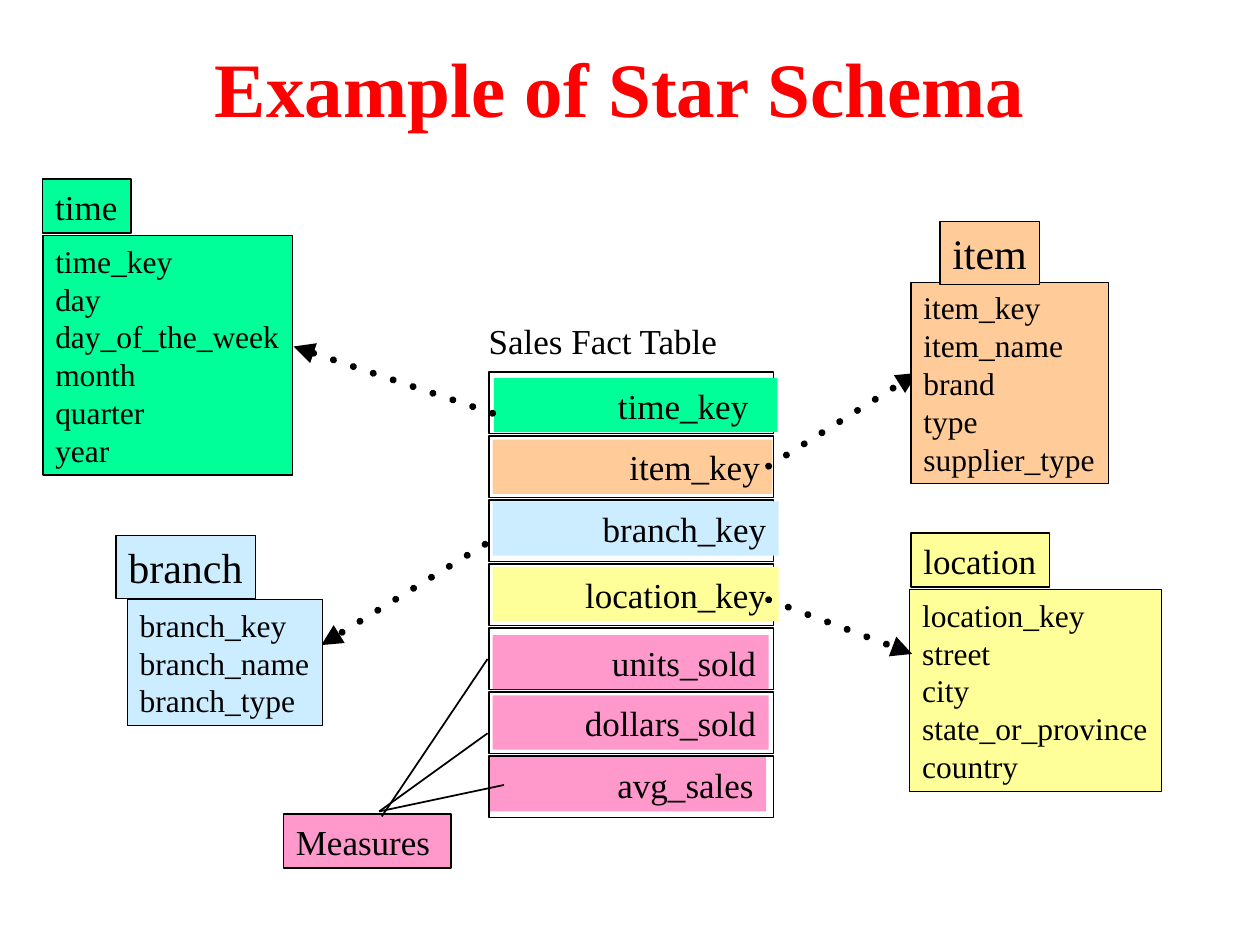
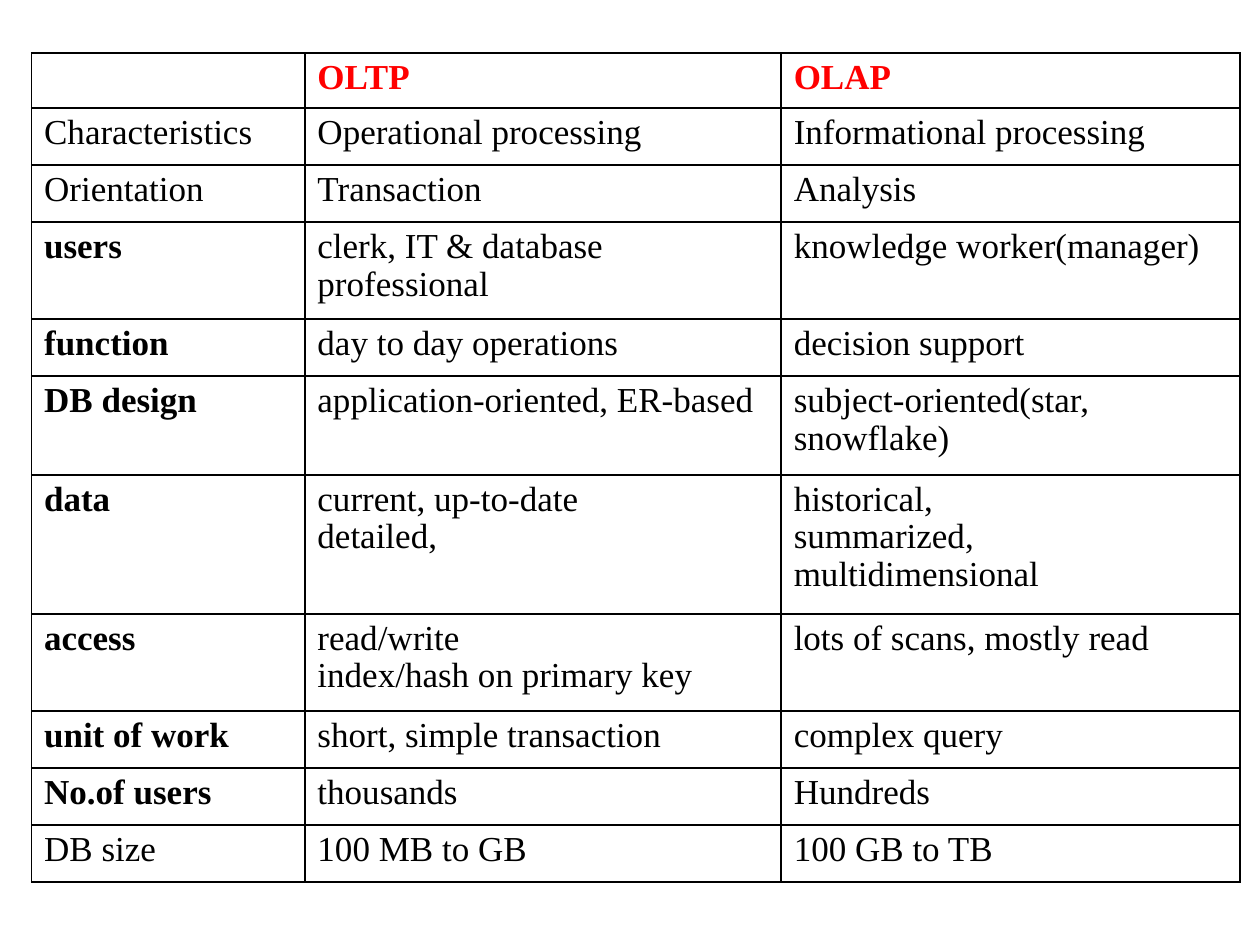
from itertools import product

from pptx import Presentation
from pptx.dml.color import RGBColor
from pptx.enum.shapes import MSO_CONNECTOR, MSO_SHAPE
from pptx.enum.text import MSO_ANCHOR, PP_ALIGN
from pptx.oxml import parse_xml
from pptx.oxml.ns import nsdecls, qn
from pptx.util import Inches, Pt

FONT = "Times New Roman"
BLACK, RED, WHITE = "000000", "FF0000", "FFFFFF"
GREEN, ORANGE, BLUE = "00FF99", "FFCC99", "CCECFF"
YELLOW, PINK = "FFFF99", "FF99CC"
COLUMNS, ROWS = 100, 75  # grid cells across and down the slide


def color(code):
    """Turn a hex string into a colour."""
    return RGBColor.from_string(code)


def element(markup):
    """Build one drawing element from its markup without the namespace."""
    tag, rest = markup.split(" ", 1)
    return parse_xml(f"<a:{tag} {nsdecls('a')} {rest}")


def write(frame, text, size=20, ink=BLACK, bold=False, align=PP_ALIGN.LEFT,
          spacing=None):
    """Fill a text frame, one paragraph for each line of the text."""
    for index, line in enumerate(text.split("\n")):
        para = frame.add_paragraph() if index else frame.paragraphs[0]
        para.alignment = align
        if spacing:
            para.line_spacing = spacing
        para.font.size = Pt(size)
        span = para.add_run()
        span.text = line
        span.font.name = FONT
        span.font.size = Pt(size)
        span.font.bold = bold
        span.font.color.rgb = color(ink)


class Slides:
    """Holds the deck, its grid and the slide being drawn."""

    def __init__(self):
        """Start an empty deck of 10 by 7.5 inches."""
        self.deck = Presentation()
        self.deck.slide_width = Inches(10)
        self.deck.slide_height = Inches(7.5)
        self.page = None

    def new_page(self):
        """Add a blank white slide and make it current."""
        self.page = self.deck.slides.add_slide(self.deck.slide_layouts[6])
        self.page.background.fill.solid()
        self.page.background.fill.fore_color.rgb = color(WHITE)

    def place(self, *cells):
        """Convert alternating grid columns and rows to lengths."""
        units = (self.deck.slide_width / COLUMNS, self.deck.slide_height / ROWS)
        return [round(cell * units[i % 2]) for i, cell in enumerate(cells)]

    def label(self, area, text, anchor=MSO_ANCHOR.TOP, wrap=False, **style):
        """Add text without fill or outline."""
        box = self.page.shapes.add_textbox(*self.place(*area))
        box.text_frame.word_wrap = wrap
        box.text_frame.vertical_anchor = anchor
        write(box.text_frame, text, **style)

    def title(self, text):
        """Add the red slide title."""
        self.label((6.7, 4.2, 85, 5.4), text, MSO_ANCHOR.MIDDLE, True,
                   size=44, ink=RED, bold=True, align=PP_ALIGN.CENTER)

    def box(self, area, text="", fill=None, line=None, wrap=False, inset=1,
            **style):
        """Add a rectangle with optional fill, outline width and text."""
        shape = self.page.shapes.add_shape(MSO_SHAPE.RECTANGLE,
                                           *self.place(*area))
        shape.shadow.inherit = False
        if fill:
            shape.fill.solid()
            shape.fill.fore_color.rgb = color(fill)
        else:
            shape.fill.background()
        if line:
            shape.line.color.rgb = color(BLACK)
            shape.line.width = Pt(line)
        else:
            shape.line.fill.background()
        if text:
            frame = shape.text_frame
            frame.word_wrap = wrap
            frame.vertical_anchor = MSO_ANCHOR.TOP
            frame.margin_right = self.place(inset)[0]
            write(frame, text, **style)

    def dimension(self, fill, tag_area, tag, tag_size, area, fields):
        """Add a dimension table: its fields below a name tag."""
        self.box(area, fields, fill, 0.74, size=18)
        self.box(tag_area, tag, fill, 0.74, size=tag_size)

    def line(self, ends, width=1):
        """Add a straight black line and return its outline element."""
        link = self.page.shapes.add_connector(MSO_CONNECTOR.STRAIGHT,
                                              *self.place(*ends))
        link.line.color.rgb = color(BLACK)
        link.line.width = Pt(width)
        properties = link._element.spPr
        properties.append(element("effectLst />"))
        return properties.find(qn("a:ln"))

    def dotted_arrow(self, ends):
        """Add a thick dotted arrow."""
        outline = self.line(ends, 4)
        outline.set("cap", "rnd")
        outline.append(element(
            'custDash ><a:ds d="100000" sp="200000"/></a:custDash>'))
        outline.append(element("round />"))
        outline.append(element('tailEnd type="triangle"/>'))

    def table(self, area, widths, heights, records):
        """Add a ruled table; widths and heights are relative weights."""
        left, top, width, height = self.place(*area)
        grid = self.page.shapes.add_table(len(heights), len(widths), left, top,
                                          width, height).table
        grid.first_row = grid.horz_banding = False
        for column, weight in zip(grid.columns, widths):
            column.width = round(width * weight / sum(widths))
        for row, weight in zip(grid.rows, heights):
            row.height = round(height * weight / sum(heights))
        for r, c in product(range(len(heights)), range(len(widths))):
            cell = grid.cell(r, c)
            text, bold = records[r][c], r == 0
            if text.startswith("*"):
                text, bold = text[1:], True
            cell.margin_right = Inches(0.12)
            write(cell.text_frame, text, ink=BLACK if r else RED, bold=bold,
                  spacing=0.97)
            self.rule(cell)

    def rule(self, cell):
        """Clear the fill of a cell and draw its four borders."""
        cell.fill.background()
        properties = cell._tc.get_or_add_tcPr()
        for index, side in enumerate("LRTB"):
            properties.insert(index, element(
                f'ln{side} w="{Pt(1)}"><a:solidFill><a:srgbClr val="{BLACK}"/>'
                f"</a:solidFill></a:ln{side}>"))


def star_schema(slides):
    """Draw the fact table, its four dimensions and the measures."""
    slides.new_page()
    slides.title("Example of Star Schema")
    slides.dimension(
        GREEN, (3.4, 14.2, 7, 4.3), "time", 20, (3.4, 18.7, 19.8, 19),
        "time_key\nday\nday_of_the_week\nmonth\nquarter\nyear")
    slides.dimension(
        YELLOW, (7.23 * 10, 42.3, 11, 4.3), "location", 20,
        (72.2, 46.8, 20, 16),
        "location_key\nstreet\ncity\nstate_or_province\ncountry")

    slides.label((37.8, 24.9, 20.2, 4.3), "Sales Fact Table")
    facts = [  # text, fill, left, top, width, right inset
        ("time_key", GREEN, 39.2, 30, 22.5, 2.3),
        ("item_key", ORANGE, 39.1, 34.9, 22.2, 1),
        ("branch_key", BLUE, 39.1, 39.8, 22.7, 1),
        ("location_key", YELLOW, 39.1, 45, 22.7, 1),
        ("units_sold", PINK, 39.1, 50.4, 21.9, 1),
        ("dollars_sold", PINK, 39.1, 55.2, 21.9, 1),
        ("avg_sales", PINK, 38.9, 60.1, 21.9, 1),
    ]
    for index, (text, fill, left, top, width, inset) in enumerate(facts):
        slides.box((38.8, 29.5 + 5.08 * index, 22.6, 4.9), line=1)
        slides.box((left, top, width, 4.3), text, fill, wrap=True,
                   inset=inset, align=PP_ALIGN.RIGHT)

    slides.box((22.5, 64.6, 13.3, 4.3), "Measures", PINK, 0.74, wrap=True)
    for ends in ((30.3, 64.8, 38.7, 52.3), (30.1, 64.4, 38.7, 58.2),
                 (30.1, 64.4, 40, 62.3)):
        slides.line(ends)
    for ends in ((38.5, 43.2, 25.5, 51.2), (39.1, 32.8, 23.3, 27.5),
                 (61, 47.6, 72.4, 51.9), (61, 37, 72.8, 29.6)):
        slides.dotted_arrow(ends)

    slides.dimension(
        ORANGE, (74.6, 17.6, 7.9, 5), "item", 24, (72.3, 22.4, 15.7, 16),
        "item_key\nitem_name\nbrand\ntype\nsupplier_type")
    slides.dimension(
        BLUE, (9.2, 42.5, 11.1, 5), "branch", 24, (10.1, 47.6, 15.5, 10),
        "branch_key\nbranch_name\nbranch_type")


def comparison(slides):
    """Draw the table that compares OLTP with OLAP; * marks bold text."""
    slides.new_page()
    records = [
        ("", "OLTP", "OLAP"),
        ("Characteristics", "Operational processing",
         "Informational processing"),
        ("Orientation", "Transaction", "Analysis"),
        ("*users", "clerk, IT & database professional",
         "knowledge worker(manager)"),
        ("*function", "day to day operations", "decision support"),
        ("*DB design", "application-oriented, ER-based",
         "subject-oriented(star, snowflake)"),
        ("*data", "current, up-to-date\ndetailed,",
         "historical,\nsummarized, multidimensional"),
        ("*access", "read/write\nindex/hash on primary key",
         "lots of scans, mostly read"),
        ("*unit of work", "short, simple transaction", "complex query"),
        ("*No.of users", "thousands", "Hundreds"),
        ("DB size", "100 MB to GB", "100 GB to TB"),
    ]
    slides.table((2.5, 4.2, 95.9, 65.8), (2.17, 3.78, 3.64),
                 (55, 57, 57, 97, 57, 99, 139, 97, 57, 57, 57), records)


def main():
    """Build both slides and save the deck."""
    slides = Slides()
    star_schema(slides)
    comparison(slides)
    slides.deck.save("out.pptx")


main()
